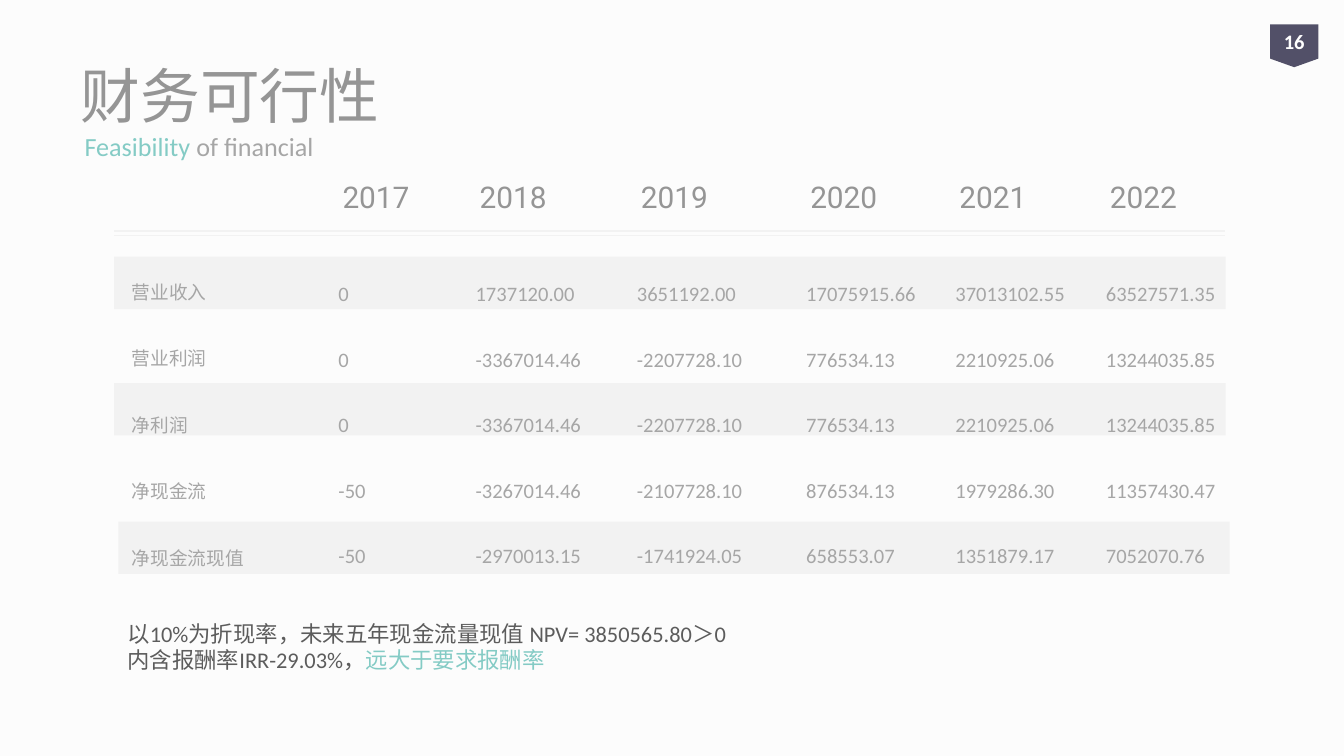
from dataclasses import dataclass
from typing import Optional

from lxml.etree import SubElement
from pptx import Presentation
from pptx.dml.color import RGBColor
from pptx.enum.shapes import MSO_CONNECTOR, MSO_SHAPE
from pptx.enum.text import MSO_ANCHOR, MSO_AUTO_SIZE, PP_ALIGN
from pptx.oxml.ns import qn
from pptx.util import Pt


@dataclass(frozen=True)
class Theme:
    background: str = "FCFCFC"
    band: str = "F2F2F2"
    heading: str = "959595"
    muted: str = "A6A6A6"
    accent: str = "84CBC5"
    note: str = "5C5C5C"
    badge: str = "525068"
    white: str = "FFFFFF"
    latin: str = "Calibri"
    chinese: str = "Noto Sans CJK SC"
    year: str = "Roboto"
    title_size: float = 32
    year_size: float = 16
    subtitle_size: float = 14
    note_size: float = 12
    value_size: float = 11
    label_size: float = 10


@dataclass(frozen=True)
class Box:
    left: float
    top: float
    width: float
    height: float

    def lengths(self) -> tuple:
        return Pt(self.left), Pt(self.top), Pt(self.width), Pt(self.height)


@dataclass(frozen=True)
class Style:
    size: float
    color: str
    font: str = "Calibri"
    bold: Optional[bool] = None
    tracking: Optional[int] = None


@dataclass(frozen=True)
class YearColumn:
    year: str
    left: float
    values: tuple


THEME = Theme()

LABELS = ("营业收入", "营业利润", "净利润", "净现金流", "净现金流现值")
COLUMNS = (
    YearColumn("2017", 174.24, ("0", "0", "0", "-50", "-50")),
    YearColumn("2018", 247.68, ("1737120.00", "-3367014.46", "-3367014.46", "-3267014.46", "-2970013.15")),
    YearColumn("2019", 334.08, ("3651192.00", "-2207728.10", "-2207728.10", "-2107728.10", "-1741924.05")),
    YearColumn("2020", 424.8, ("17075915.66", "776534.13", "776534.13", "876534.13", "658553.07")),
    YearColumn("2021", 504.72, ("37013102.55", "2210925.06", "2210925.06", "1979286.30", "1351879.17")),
    YearColumn("2022", 585.36, ("63527571.35", "13244035.85", "13244035.85", "11357430.47", "7052070.76")),
)
BANDS = (
    Box(61.2, 137.5, 595.4, 28.1),
    Box(61.2, 205.2, 595.4, 28.1),
    Box(63.4, 279.4, 595.4, 28.1),
)
RULE_TOPS = (123.8, 126)


def format_run(run, style: Style) -> None:
    run.font.size = Pt(style.size)
    run.font.name = style.font
    run.font.bold = style.bold
    run.font.color.rgb = RGBColor.from_string(style.color)
    properties = run.font._element
    east_asian = SubElement(properties, qn("a:ea"))
    east_asian.set("typeface", THEME.chinese)
    if style.tracking is not None:
        properties.set("spc", str(style.tracking))


def add_text(slide, box: Box, lines: tuple, style: Style, spacing=None,
             before: float = 0, anchor=MSO_ANCHOR.TOP, grow: bool = True):
    shape = slide.shapes.add_textbox(*box.lengths())
    frame = shape.text_frame
    frame.word_wrap = True
    frame.vertical_anchor = anchor
    frame.text = "\n".join(lines)
    frame.auto_size = MSO_AUTO_SIZE.SHAPE_TO_FIT_TEXT if grow else MSO_AUTO_SIZE.NONE
    for paragraph in frame.paragraphs:
        paragraph.line_spacing = spacing
        paragraph.space_before = Pt(before)
        for run in paragraph.runs:
            format_run(run, style)
    return shape


def append_run(paragraph, text: str, style: Style) -> None:
    run = paragraph.add_run()
    run.text = text
    format_run(run, style)


def add_filled(slide, kind: MSO_SHAPE, box: Box, color: str):
    shape = slide.shapes.add_shape(kind, *box.lengths())
    shape.shadow.inherit = False
    shape.fill.solid()
    shape.fill.fore_color.rgb = RGBColor.from_string(color)
    shape.line.fill.background()
    return shape


def add_rule(slide, top: float) -> None:
    rule = slide.shapes.add_connector(MSO_CONNECTOR.STRAIGHT, Pt(61.2), Pt(top), Pt(656), Pt(top))
    rule.line.color.rgb = RGBColor.from_string(THEME.band)
    rule.line.width = Pt(0.75)
    SubElement(rule._element.spPr, qn("a:effectLst"))


def add_title(slide) -> None:
    title = slide.shapes.title
    title.left, title.top, title.width, title.height = Box(36, 16.6, 648, 67.7).lengths()
    frame = title.text_frame
    frame.text = "财务可行性"
    frame.vertical_anchor = MSO_ANCHOR.MIDDLE
    frame.paragraphs[0].alignment = PP_ALIGN.LEFT
    format_run(frame.paragraphs[0].runs[0], Style(THEME.title_size, THEME.heading, THEME.chinese))


def add_year_column(slide, column: YearColumn) -> None:
    add_text(slide, Box(column.left, 127.4, 115.9, 184.3), column.values,
             Style(THEME.value_size, THEME.muted), spacing=2.5, before=2)
    add_text(slide, Box(column.left + 2.2, 92.2, 112.3, 26.6), (column.year,),
             Style(THEME.year_size, THEME.heading, THEME.year), anchor=MSO_ANCHOR.MIDDLE)


def add_page_badge(slide) -> None:
    badge = add_filled(slide, MSO_SHAPE.FLOWCHART_OFFPAGE_CONNECTOR,
                       Box(680.4, 13, 25.9, 23), THEME.badge)
    frame = badge.text_frame
    frame.margin_left = frame.margin_right = frame.margin_top = frame.margin_bottom = 0
    frame.vertical_anchor = MSO_ANCHOR.MIDDLE
    frame.text = "16"
    frame.paragraphs[0].alignment = PP_ALIGN.CENTER
    format_run(frame.paragraphs[0].runs[0], Style(THEME.value_size, THEME.white, bold=True))


def main() -> None:
    presentation = Presentation()
    presentation.slide_width, presentation.slide_height = Pt(720), Pt(405)
    slide = presentation.slides.add_slide(presentation.slide_layouts[5])
    slide.background.fill.solid()
    slide.background.fill.fore_color.rgb = RGBColor.from_string(THEME.background)

    # Row bands and the double rule below the years
    for band in BANDS:
        add_filled(slide, MSO_SHAPE.RECTANGLE, band, THEME.band)
    for top in RULE_TOPS:
        add_rule(slide, top)

    # Title and subtitle
    add_title(slide)
    subtitle = add_text(slide, Box(38.2, 64.1, 648, 28.8), ("Feasibility ",),
                        Style(THEME.subtitle_size, THEME.accent),
                        anchor=MSO_ANCHOR.MIDDLE, grow=False)
    append_run(subtitle.text_frame.paragraphs[0], "of financial",
               Style(THEME.subtitle_size, THEME.muted))

    # Row labels and yearly figures
    add_text(slide, Box(63.4, 125.3, 115.9, 186.5), LABELS,
             Style(THEME.label_size, THEME.muted, THEME.chinese, tracking=10),
             spacing=Pt(33.6), before=2)
    for column in COLUMNS:
        add_year_column(slide, column)

    add_page_badge(slide)

    # Conclusion
    conclusion = add_text(
        slide, Box(61.2, 329, 442.1, 36),
        ("以10%为折现率，未来五年现金流量现值 NPV= 3850565.80＞0", "内含报酬率IRR-29.03%，"),
        Style(THEME.note_size, THEME.note), spacing=Pt(14))
    append_run(conclusion.text_frame.paragraphs[1], "远大于要求报酬率",
               Style(THEME.note_size, THEME.accent))

    presentation.save("out.pptx")


if __name__ == "__main__":
    main()
